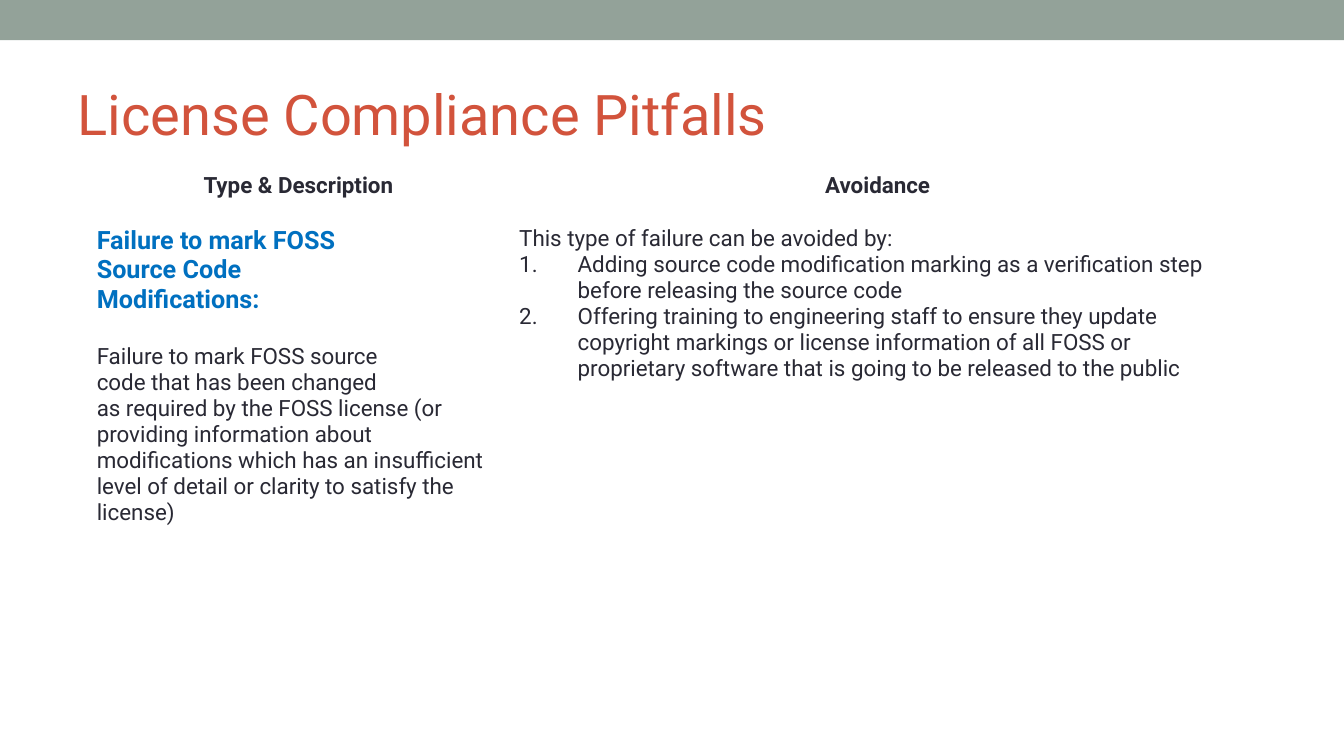
import pptx
import pptx.dml.color
import pptx.enum.shapes
import pptx.enum.text
import pptx.oxml.ns
import pptx.util
from dataclasses import dataclass
from lxml import etree

Inches = pptx.util.Inches
Points = pptx.util.Pt
Color = pptx.dml.color.RGBColor.from_string
Align = pptx.enum.text.PP_ALIGN
qn = pptx.oxml.ns.qn


@dataclass(frozen=True)
class Theme:
    font: str = "Roboto"
    banner: str = "93A299"
    title: str = "D2533C"
    text: str = "292934"
    accent: str = "0070C0"
    background: str = "FFFFFF"
    title_size: int = 40
    lead_size: int = 18
    text_size: int = 16


theme = Theme()


def style(paragraph, size, color, bold=False):
    paragraph.font.name = theme.font
    paragraph.font.size = Points(size)
    paragraph.font.bold = bold
    paragraph.font.color.rgb = Color(color)


def indent(paragraph, left, first_line):
    properties = paragraph._p.get_or_add_pPr()
    properties.set("marL", str(Inches(left)))
    properties.set("indent", str(Inches(first_line)))
    return properties


presentation = pptx.Presentation()
presentation.slide_width = Inches(13.33)
presentation.slide_height = Inches(7.5)
slide = presentation.slides.add_slide(presentation.slide_layouts[5])

banner = slide.shapes.add_shape(
    pptx.enum.shapes.MSO_SHAPE.RECTANGLE, 0, 0, presentation.slide_width, Inches(0.4)
)
banner.shadow.inherit = False
banner.fill.solid()
banner.fill.fore_color.rgb = Color(theme.banner)
banner.line.fill.background()

title = slide.shapes.title
title.left, title.top = Inches(0.67), Inches(0.58)
title.width, title.height = Inches(12), Inches(1.08)
title.text_frame.text = "License Compliance Pitfalls"
title.text_frame.auto_size = pptx.enum.text.MSO_AUTO_SIZE.NONE
title.text_frame.vertical_anchor = pptx.enum.text.MSO_ANCHOR.MIDDLE
title.text_frame.paragraphs[0].alignment = Align.LEFT
style(title.text_frame.paragraphs[0], theme.title_size, theme.title)

table = slide.shapes.add_table(
    2, 2, Inches(0.86), Inches(1.66), Inches(11.5), Inches(5.01)
).table
table.first_row = False
table.horz_banding = False
for column, width in zip(table.columns, (4.19, 7.31)):
    column.width = Inches(width)
for row, height in zip(table.rows, (0.53, 4.48)):
    row.height = Inches(height)

for cell in table.iter_cells():
    properties = cell._tc.get_or_add_tcPr()
    for side in ("lnL", "lnR", "lnT", "lnB"):
        border = etree.SubElement(properties, qn(f"a:{side}"), w=str(Points(0.06)))
        border_fill = etree.SubElement(border, qn("a:solidFill"))
        etree.SubElement(border_fill, qn("a:srgbClr"), val=theme.background)
    cell.fill.solid()
    cell.fill.fore_color.rgb = Color(theme.background)

headings = (("Type & Description", 0.38, -0.37), ("Avoidance", 0.58, -0.58))
for column_index, (heading, left, first_line) in enumerate(headings):
    cell = table.cell(0, column_index)
    cell.text = heading
    paragraph = cell.text_frame.paragraphs[0]
    paragraph.alignment = Align.CENTER
    indent(paragraph, left, first_line)
    style(paragraph, theme.text_size, theme.text, bold=True)

pitfall_name = ["Failure to mark FOSS", "Source Code", "Modifications:"]
pitfall_description = [
    "Failure to mark FOSS source",
    "code that has been changed",
    "as required by the FOSS license (or providing information about modifications "
    "which has an insufficient level of detail or clarity to satisfy the license)",
]
pitfall = table.cell(1, 0)
pitfall.text = "\n".join(pitfall_name + pitfall_description)
pitfall_paragraphs = pitfall.text_frame.paragraphs
for paragraph in pitfall_paragraphs[:len(pitfall_name)]:
    style(paragraph, theme.lead_size, theme.accent, bold=True)
for paragraph in pitfall_paragraphs[len(pitfall_name):]:
    style(paragraph, theme.text_size, theme.text)
pitfall_paragraphs[len(pitfall_name)].space_before = Points(21)

avoidance_steps = [
    "Adding source code modification marking as a verification step before "
    "releasing the source code",
    "Offering training to engineering staff to ensure they update copyright markings "
    "or license information of all FOSS or proprietary software that is going to be "
    "released to the public",
]
avoidance = table.cell(1, 1)
avoidance.text = "\n".join(["This type of failure can be avoided by:"] + avoidance_steps)
for index, paragraph in enumerate(avoidance.text_frame.paragraphs):
    properties = indent(paragraph, 0.58, -0.58)
    if index > 0:
        bullet_color = etree.SubElement(properties, qn("a:buClr"))
        etree.SubElement(bullet_color, qn("a:srgbClr"), val=theme.text)
        etree.SubElement(properties, qn("a:buAutoNum"), type="arabicPeriod")
    style(paragraph, theme.text_size, theme.text)

presentation.save("out.pptx")
